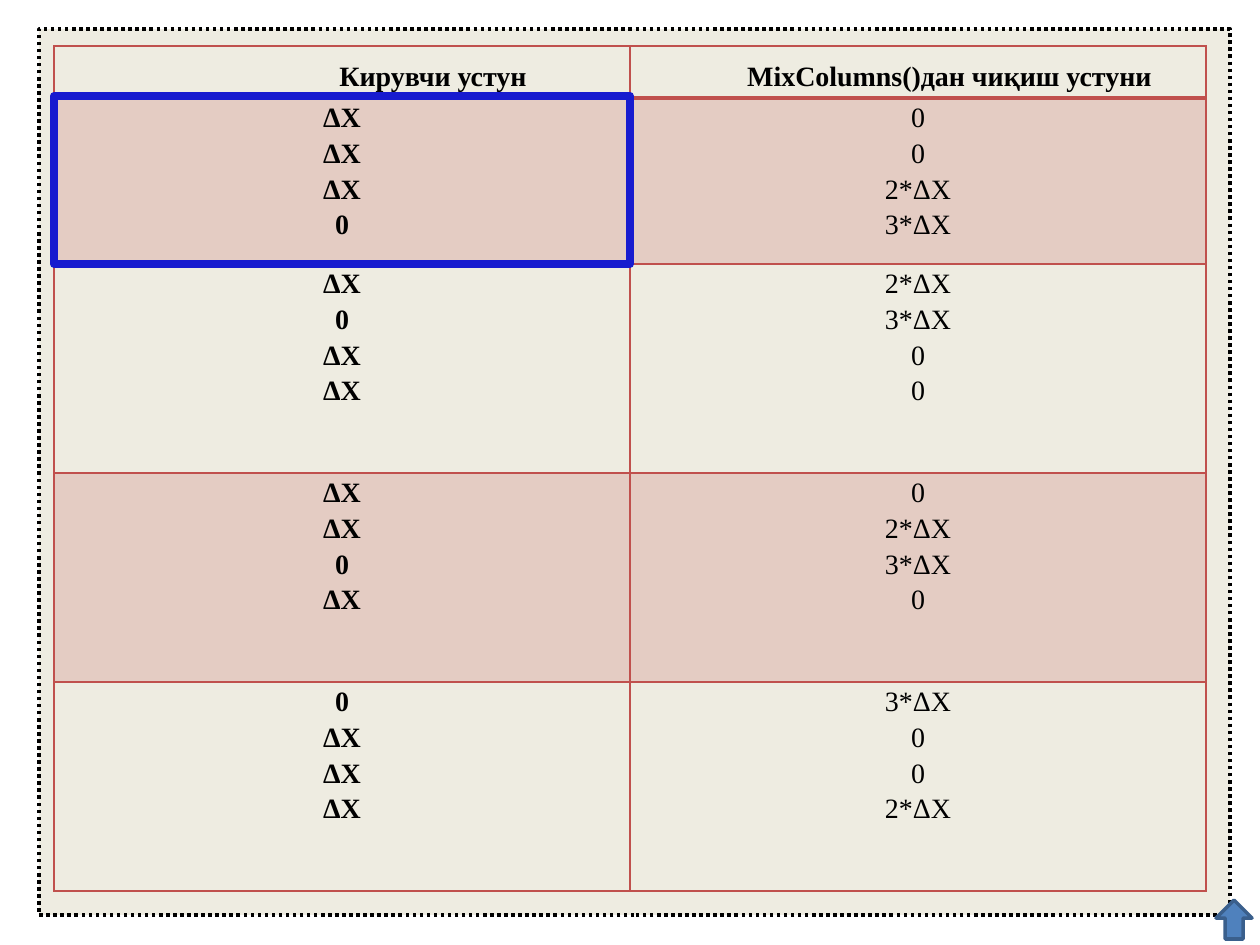
from dataclasses import dataclass

from lxml.etree import SubElement
from pptx import Presentation
from pptx.dml.color import RGBColor
from pptx.enum.dml import MSO_LINE
from pptx.enum.shapes import MSO_SHAPE
from pptx.enum.text import PP_ALIGN
from pptx.oxml.ns import qn
from pptx.util import Emu, Pt


@dataclass(frozen=True)
class Theme:
    font: str = "Times New Roman"
    size: int = 16
    ink: str = "000000"
    panel: str = "EEECE1"
    grid: str = "C0504D"
    highlight: str = "171BCF"
    arrow: str = "4F81BD"
    arrow_edge: str = "3A5F8C"
    band_alpha: int = 20


THEME = Theme()
PLAIN_STYLE = "{2D5ABB26-0587-4C30-8999-92F81FD0307C}"

HEADERS = [("Кирувчи устун", 182), ("MixColumns()дан чиқиш устуни", 63)]
STATES = [
    (["ΔX", "ΔX", "ΔX", "0"], ["0", "0", "2*ΔX", "3*ΔX"]),
    (["ΔX", "0", "ΔX", "ΔX"], ["2*ΔX", "3*ΔX", "0", "0"]),
    (["ΔX", "ΔX", "0", "ΔX"], ["0", "2*ΔX", "3*ΔX", "0"]),
    (["0", "ΔX", "ΔX", "ΔX"], ["3*ΔX", "0", "0", "2*ΔX"]),
]

TABLE_LEFT, TABLE_TOP = 54, 46
COLUMN_WIDTH = 576
ROW_HEIGHTS = [52, 166, 209, 209, 209]
CELL_MARGIN = 9


def px(value):
    return Emu(round(value * 914400 / 126))


def color(code):
    return RGBColor.from_string(code)


def add_box(slide, kind, box, fill, line, width):
    shape = slide.shapes.add_shape(kind, *map(px, box))
    shape.shadow.inherit = False
    if fill:
        shape.fill.solid()
        shape.fill.fore_color.rgb = color(fill)
    else:
        shape.fill.background()
    shape.line.color.rgb = color(line)
    shape.line.width = Pt(width)
    return shape


def set_borders(cell, bottom_width, top_width):
    properties = cell._tc.get_or_add_tcPr()
    for side, width in (("L", 1), ("R", 1), ("T", top_width), ("B", bottom_width)):
        line = SubElement(properties, qn(f"a:ln{side}"), w=str(Pt(width)))
        fill = SubElement(line, qn("a:solidFill"))
        SubElement(fill, qn("a:srgbClr"), val=THEME.grid)


def fill_cell(cell, banded):
    if not banded:
        cell.fill.background()
        return
    cell.fill.solid()
    cell.fill.fore_color.rgb = color(THEME.grid)
    tone = cell._tc.tcPr.find(qn("a:solidFill")).find(qn("a:srgbClr"))
    SubElement(tone, qn("a:alpha"), val=str(THEME.band_alpha * 1000))


def write_cell(cell, lines, bold, spacing, indent=0):
    cell.margin_left = cell.margin_right = px(CELL_MARGIN)
    cell.margin_top = cell.margin_bottom = 0
    cell.text_frame.text = "\n".join(lines)
    for paragraph in cell.text_frame.paragraphs:
        paragraph.alignment = PP_ALIGN.CENTER
        paragraph.line_spacing = spacing
        if indent:
            paragraph._p.get_or_add_pPr().set("marL", str(px(indent)))
        for run in paragraph.runs:
            run.font.name = THEME.font
            run.font.size = Pt(THEME.size)
            run.font.bold = bold
            run.font.color.rgb = color(THEME.ink)


def add_state_table(slide):
    frame = slide.shapes.add_table(
        len(ROW_HEIGHTS), len(HEADERS), px(TABLE_LEFT), px(TABLE_TOP),
        px(COLUMN_WIDTH * len(HEADERS)), px(sum(ROW_HEIGHTS)))
    table = frame.table
    table._tbl.tblPr.find(qn("a:tableStyleId")).text = PLAIN_STYLE
    table.first_row = table.horz_banding = False
    for column in table.columns:
        column.width = px(COLUMN_WIDTH)
    for row, height in zip(table.rows, ROW_HEIGHTS):
        row.height = px(height)
    for index, (text, indent) in enumerate(HEADERS):
        write_cell(table.cell(0, index), [text], True, 1.5, indent)
    for row, state in enumerate(STATES, start=1):
        for index, lines in enumerate(state):
            write_cell(table.cell(row, index), lines, index == 0, 1.15)
    for row in range(len(ROW_HEIGHTS)):
        for index in range(len(HEADERS)):
            cell = table.cell(row, index)
            set_borders(cell, 2 if row == 0 else 1, 2 if row == 1 else 1)
            fill_cell(cell, row % 2 == 1)


def main():
    presentation = Presentation()
    presentation.slide_width, presentation.slide_height = px(1260), px(945)
    slide = presentation.slides.add_slide(presentation.slide_layouts[6])

    panel = add_box(slide, MSO_SHAPE.RECTANGLE, (39, 29, 1191, 886),
                    THEME.panel, THEME.ink, 2)
    panel.line.dash_style = MSO_LINE.ROUND_DOT
    arrow = add_box(slide, MSO_SHAPE.DOWN_ARROW, (1216, 900, 36, 39),
                    THEME.arrow, THEME.arrow_edge, 2)
    arrow.rotation = 180
    add_state_table(slide)
    first_state = (TABLE_LEFT, TABLE_TOP + ROW_HEIGHTS[0] - 2,
                   COLUMN_WIDTH, ROW_HEIGHTS[1] + 2)
    add_box(slide, MSO_SHAPE.RECTANGLE, first_state, None, THEME.highlight, 4.5)

    presentation.save("out.pptx")


if __name__ == "__main__":
    main()
